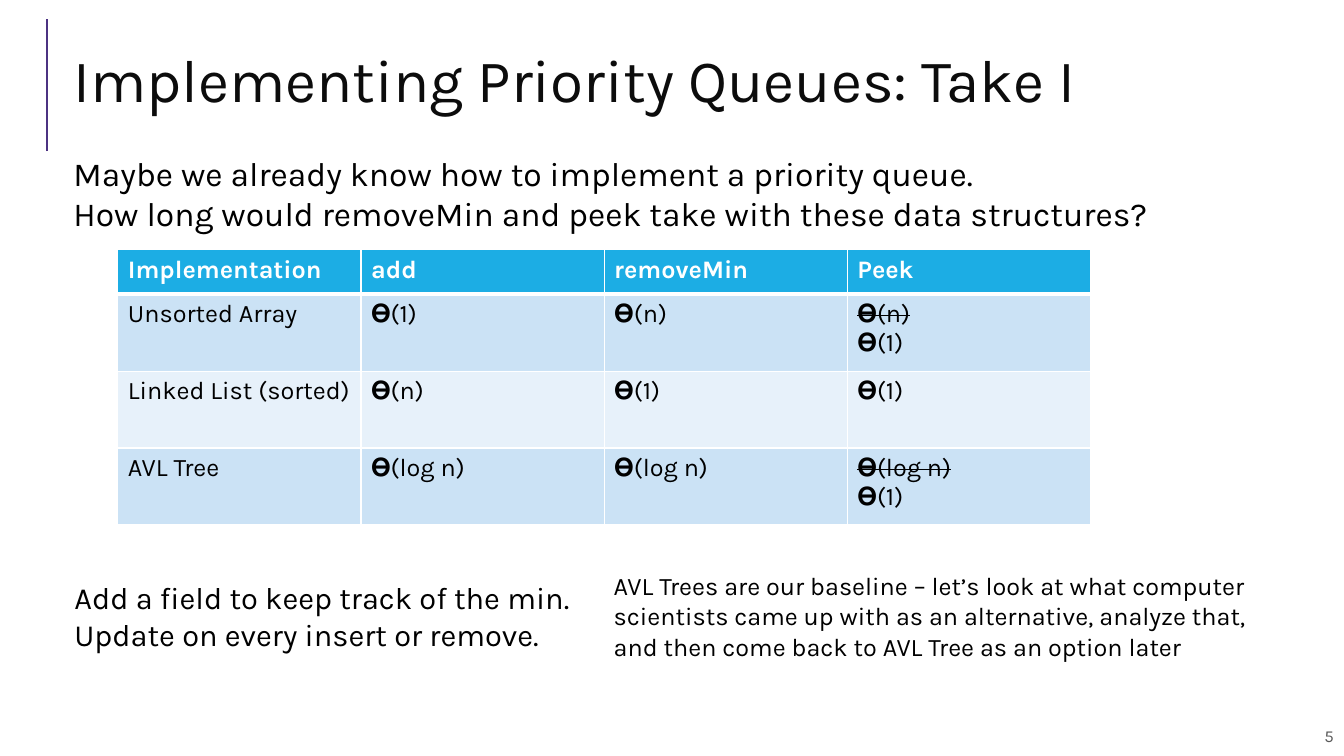
"""Build the slide on implementing priority queues."""
from dataclasses import dataclass

from lxml import etree
from pptx import Presentation
from pptx.dml.color import RGBColor
from pptx.enum.shapes import MSO_CONNECTOR
from pptx.enum.text import MSO_ANCHOR, MSO_AUTO_SIZE, PP_ALIGN
from pptx.oxml.ns import qn
from pptx.slide import Slide
from pptx.table import _Cell
from pptx.text.text import _Paragraph
from pptx.util import Pt

TOP, MIDDLE = MSO_ANCHOR.TOP, MSO_ANCHOR.MIDDLE
LEFT, RIGHT = PP_ALIGN.LEFT, PP_ALIGN.RIGHT
GROW, FIXED = MSO_AUTO_SIZE.SHAPE_TO_FIT_TEXT, MSO_AUTO_SIZE.NONE
STRAIGHT = MSO_CONNECTOR.STRAIGHT

FONT = "Karla"
BLACK = RGBColor(0x00, 0x00, 0x00)
INK = RGBColor(0x0C, 0x0C, 0x0C)
GREY = RGBColor(0x59, 0x59, 0x59)
WHITE = RGBColor(0xFF, 0xFF, 0xFF)
PURPLE = RGBColor(0x4C, 0x32, 0x82)
BLUE = RGBColor(0x1C, 0xAD, 0xE4)
BANDS = (RGBColor(0xE7, 0xF1, 0xFA), RGBColor(0xCB, 0xE2, 0xF5))


@dataclass
class Box:
    left: float
    top: float
    width: float
    height: float
    size: float
    lines: tuple[str, ...]
    color: RGBColor = BLACK
    anchor: MSO_ANCHOR = TOP
    align: PP_ALIGN = LEFT
    fit: MSO_AUTO_SIZE = GROW
    inset: float = 3.6
    space: float = 1.0


@dataclass
class Entry:
    text: str
    old: str = ""


BOXES = (
    Box(622.8, 511.2, 337, 28.8, 12, ("5",), GREY, MIDDLE, RIGHT, inset=7.2),
    Box(45.4, 20.9, 880.5, 79.9, 43, ("Implementing Priority Queues: Take I",),
        INK, MIDDLE, fit=FIXED, space=0.8),
    Box(45.4, 105.8, 859, 65.5, 24, (
        "Maybe we already know how to implement a priority queue.",
        "How long would removeMin and peek take with these data structures?")),
    Box(46.1, 409.7, 857.5, 60.5, 22, (
        "Add a field to keep track of the min.\n"
        "Update on every insert or remove.",)),
    Box(431.3, 403.9, 495.4, 72.7, 18, (
        "AVL Trees are our baseline – let’s look at what computer scientists "
        "came up with as an alternative, analyze that, and then come back to "
        "AVL Tree as an option later",)),
)

ROWS = (
    (Entry("Implementation"), Entry("add"), Entry("removeMin"), Entry("Peek")),
    (Entry("Unsorted Array"), Entry("𝚹(1)"), Entry("𝚹(n)"),
     Entry("𝚹(1)", old="𝚹(n)")),
    (Entry("Linked List (sorted)"), Entry("𝚹(n)"), Entry("𝚹(1)"),
     Entry("𝚹(1)")),
    (Entry("AVL Tree"), Entry("𝚹(log n)"), Entry("𝚹(log n)"),
     Entry("𝚹(1)", old="𝚹(log n)")),
)
COL, HEAD, ROW = 173.7, 31.6, 55


def style(para: _Paragraph, size: float, color: RGBColor, bold: bool) -> None:
    font = para.font
    font.name, font.size, font.bold = FONT, Pt(size), bold
    font.color.rgb = color


def draw_box(slide: Slide, box: Box) -> None:
    frame = slide.shapes.add_textbox(
        Pt(box.left), Pt(box.top), Pt(box.width), Pt(box.height)).text_frame
    frame.word_wrap = True
    frame.auto_size = box.fit
    frame.vertical_anchor = box.anchor
    frame.margin_top = frame.margin_bottom = Pt(box.inset)
    for i, line in enumerate(box.lines):
        para = frame.add_paragraph() if i else frame.paragraphs[0]
        para.text = line
        para.alignment = box.align
        para.line_spacing = box.space
        style(para, box.size, box.color, False)


def draw_edges(cell: _Cell, row: int) -> None:
    props = cell._tc.get_or_add_tcPr()
    widths = {"lnL": 1, "lnR": 1, "lnT": 3 if row == 1 else 1,
              "lnB": 3 if row == 0 else 1}
    for tag, width in widths.items():
        edge = etree.SubElement(props, qn(f"a:{tag}"), w=str(Pt(width)))
        fill = etree.SubElement(edge, qn("a:solidFill"))
        etree.SubElement(fill, qn("a:srgbClr"), val=str(WHITE))


def draw_cell(cell: _Cell, entry: Entry, row: int) -> None:
    draw_edges(cell, row)
    cell.fill.solid()
    cell.fill.fore_color.rgb = BANDS[row % 2] if row else BLUE
    frame = cell.text_frame
    para = frame.paragraphs[0]
    if entry.old:
        para.text = entry.old
        para.runs[0]._r.get_or_add_rPr().set("strike", "sngStrike")
        para = frame.add_paragraph()
    para.text = entry.text
    for para in frame.paragraphs:
        style(para, 18, BLACK if row else WHITE, row == 0)


def draw_table(slide: Slide) -> None:
    count = len(ROWS[0])
    table = slide.shapes.add_table(
        len(ROWS), count, Pt(84.2), Pt(178.5), Pt(COL * count),
        Pt(HEAD + ROW * (len(ROWS) - 1))).table
    for col in table.columns:
        col.width = Pt(COL)
    for i, row in enumerate(ROWS):
        table.rows[i].height = Pt(ROW if i else HEAD)
        for j, entry in enumerate(row):
            draw_cell(table.cell(i, j), entry, i)


def draw_rule(slide: Slide) -> None:
    rule = slide.shapes.add_connector(
        STRAIGHT, Pt(33.8), Pt(108), Pt(33.8), Pt(13.7))
    rule.line.color.rgb = PURPLE
    rule.line.width = Pt(1.5)
    etree.SubElement(rule._element.spPr, qn("a:effectLst"))


def main() -> None:
    deck = Presentation()
    deck.slide_width, deck.slide_height = Pt(960), Pt(540)
    slide = deck.slides.add_slide(deck.slide_layouts[6])
    draw_rule(slide)
    draw_table(slide)
    for box in BOXES:
        draw_box(slide, box)
    deck.save("out.pptx")


if __name__ == "__main__":
    main()
